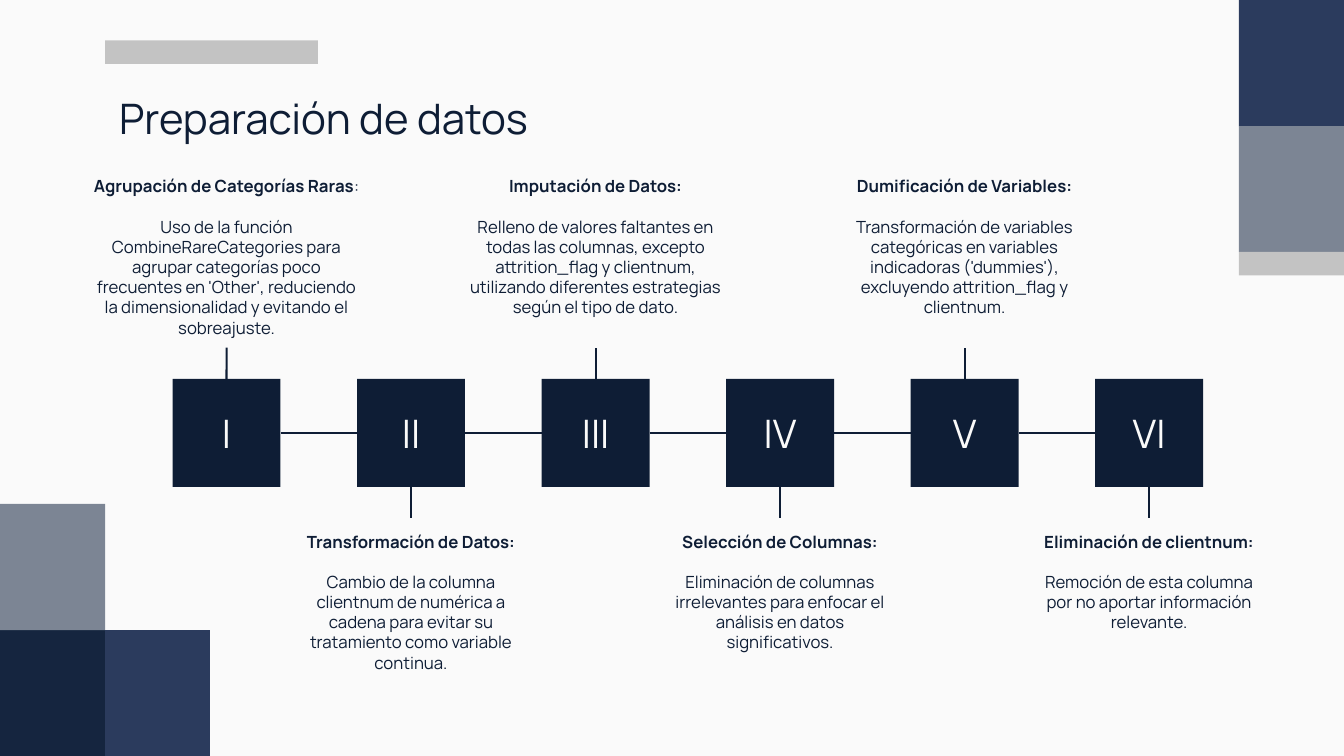
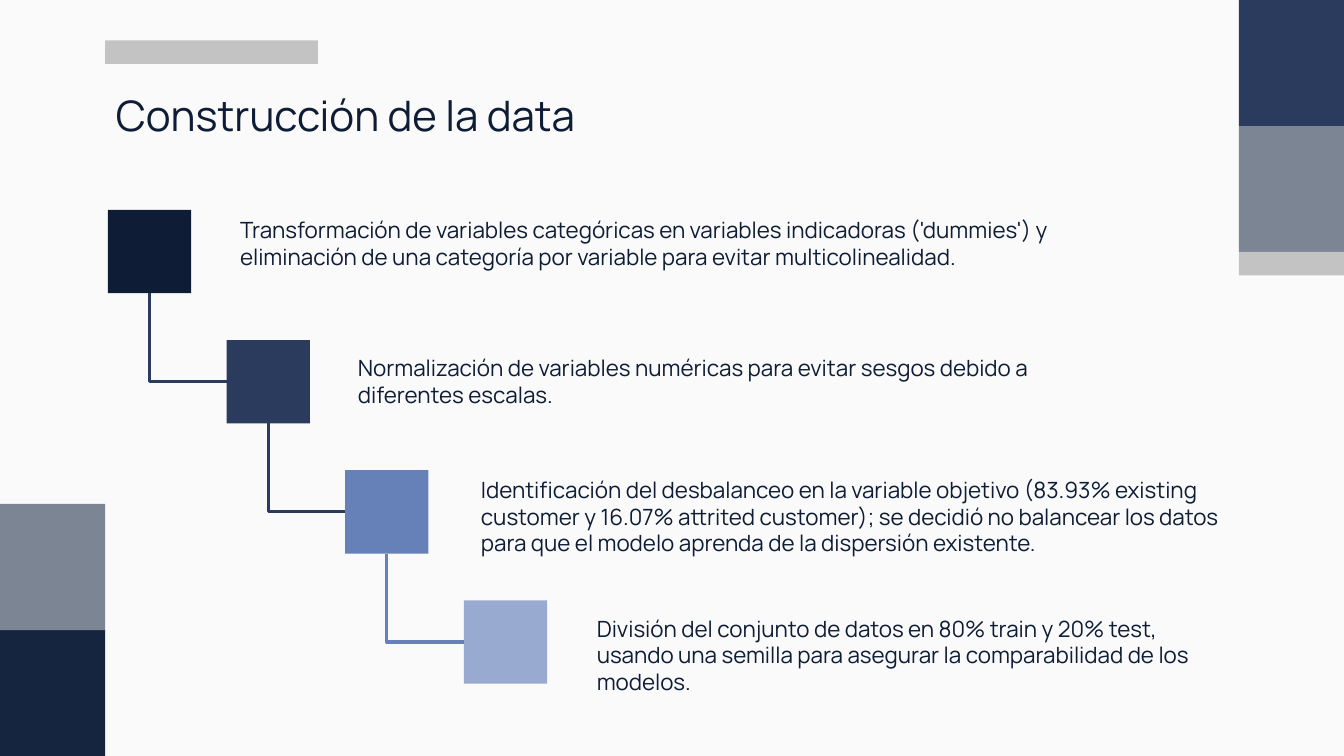
from dataclasses import dataclass
from itertools import pairwise
from typing import Any

from lxml.etree import SubElement
from pptx import Presentation
from pptx.dml.color import RGBColor
from pptx.enum.shapes import MSO_CONNECTOR as CONN, MSO_SHAPE as SHAPE
from pptx.enum.text import MSO_ANCHOR as ANCHOR, PP_ALIGN as ALIGN
from pptx.oxml.ns import qn
from pptx.util import Cm, Pt

# Shared style
COLORS = {
    "paper": "FAFAFA", "ink": "0E1D35", "deep": "15253F", "navy": "2B3B5D",
    "slate": "7C8594", "silver": "C3C3C3", "blue": "6680B8", "pale": "99AAD0",
}
FONT = "Manrope"
INSET = 0.33
TOP, BOTTOM, LEFT, RIGHT = 0, 2, 1, 3  # connection sites


@dataclass(frozen=True)
class Block:
    x: float
    y: float
    w: float
    h: float
    color: str


@dataclass(frozen=True)
class Stage:
    numeral: str
    heading: str
    body: str
    width: float
    colon_bold: bool = True


@dataclass(frozen=True)
class Step:
    color: str
    text: str
    x: float
    y: float
    w: float


BANDS = [
    Block(0, 15.88, 2.65, 3.17, "deep"),
    Block(0, 12.7, 2.65, 3.18, "slate"),
    Block(31.22, 0, 2.65, 3.18, "navy"),
    Block(31.22, 3.18, 2.65, 3.17, "slate"),
    Block(31.22, 6.35, 2.65, 0.59, "silver"),
    Block(2.65, 1.02, 5.36, 0.59, "silver"),
]
CORNER = Block(2.65, 15.88, 2.64, 3.17, "navy")

STAGES = [
    Stage("I", "Agrupación de Categorías Raras",
          "Uso de la función CombineRareCategories para agrupar categorías poco frecuentes "
          "en 'Other', reduciendo la dimensionalidad y evitando el sobreajuste.", 7.47, False),
    Stage("II", "Transformación de Datos",
          "Cambio de la columna clientnum de numérica a cadena para evitar su tratamiento "
          "como variable continua.", 6.12),
    Stage("III", "Imputación de Datos",
          "Relleno de valores faltantes en todas las columnas, excepto attrition_flag y "
          "clientnum, utilizando diferentes estrategias según el tipo de dato.", 7.47),
    Stage("IV", "Selección de Columnas",
          "Eliminación de columnas irrelevantes para enfocar el análisis en datos "
          "significativos.", 6.12),
    Stage("V", "Dumificación de Variables",
          "Transformación de variables categóricas en variables indicadoras ('dummies'), "
          "excluyendo attrition_flag y clientnum.", 6.83),
    Stage("VI", "Eliminación de clientnum",
          "Remoción de esta columna por no aportar información relevante.", 6.12),
]

STEPS = [
    Step("ink", "Transformación de variables categóricas en variables indicadoras ('dummies') y "
         "eliminación de una categoría por variable para evitar multicolinealidad.",
         5.72, 5.11, 21.62),
    Step("navy", "Normalización de variables numéricas para evitar sesgos debido a diferentes "
         "escalas.", 8.69, 8.59, 20.12),
    Step("blue", "Identificación del desbalanceo en la variable objetivo (83.93% existing "
         "customer y 16.07% attrited customer); se decidió no balancear los datos para que el "
         "modelo aprenda de la dispersión existente.", 11.79, 11.66, 19.3),
    Step("pale", "División del conjunto de datos en 80% train y 20% test, usando una semilla "
         "para asegurar la comparabilidad de los modelos.", 14.71, 15.16, 16.56),
]


# Drawing helpers
def rgb(name: str) -> RGBColor:
    return RGBColor.from_string(COLORS[name])


def apply(obj: Any, values: dict[str, Any]) -> None:
    for name, value in values.items():
        setattr(obj, name, value)


def set_frame(tf: Any, inset: float = INSET, anchor: Any = ANCHOR.TOP) -> None:
    sides = ("left", "top", "right", "bottom")
    apply(tf, {f"margin_{side}": Cm(inset) for side in sides})
    apply(tf, {"word_wrap": True, "vertical_anchor": anchor})


def add_run(p: Any, text: str, size: float, color: str = "ink", bold: bool = False) -> None:
    r = p.add_run()
    r.text = text
    apply(r.font, {"name": FONT, "size": Pt(size), "bold": bold})
    r.font.color.rgb = rgb(color)


def add_box(s: Any, x: float, y: float, w: float, h: float, inset: float = INSET) -> Any:
    tf = s.shapes.add_textbox(Cm(x), Cm(y), Cm(w), Cm(h)).text_frame
    set_frame(tf, inset)
    return tf


def add_block(s: Any, b: Block) -> Any:
    sp = s.shapes.add_shape(SHAPE.RECTANGLE, Cm(b.x), Cm(b.y), Cm(b.w), Cm(b.h))
    sp.shadow.inherit = False
    sp.fill.solid()
    sp.fill.fore_color.rgb = rgb(b.color)
    sp.line.fill.background()
    return sp


def add_line(s: Any, kind: Any, color: str, width: float,
             x1: float, y1: float, x2: float, y2: float) -> Any:
    cn = s.shapes.add_connector(kind, Cm(x1), Cm(y1), Cm(x2), Cm(y2))
    cn.line.color.rgb = rgb(color)
    cn.line.width = Pt(width)
    SubElement(cn._element.spPr, qn("a:effectLst"))
    return cn


def add_elbow(s: Any, start: Any, end: Any, color: str) -> None:
    """Go down from the start square, then right into the end square."""
    cn = add_line(s, CONN.ELBOW, color, 2.25, 0, 0, 1, 1)
    cn.begin_connect(start, BOTTOM)
    cn.end_connect(end, LEFT)
    x, y = start.left + start.width // 2, start.top + start.height
    dx, dy = end.left - x, end.top + end.height // 2 - y
    # A single bend is a quarter turn of a mirrored frame about its centre
    apply(cn, {"left": x + (dx - dy) // 2, "top": y + (dy - dx) // 2,
               "width": dy, "height": dx})
    xfrm = cn._element.spPr.find(qn("a:xfrm"))
    xfrm.set("rot", "16200000")
    xfrm.set("flipH", "1")
    cn._element.spPr.find(qn("a:prstGeom")).set("prst", "bentConnector2")


def new_slide(prs: Any, title: str, inset: float) -> Any:
    s = prs.slides.add_slide(prs.slide_layouts[6])
    s.background.fill.solid()
    s.background.fill.fore_color.rgb = rgb("paper")
    for band in BANDS:
        add_block(s, band)
    add_run(add_box(s, 2.67, 2.01, 28.52, 2.13, inset).paragraphs[0], title, 30)
    return s


# Timeline slide
def add_stage_text(s: Any, stage: Stage, center: float, y: float) -> None:
    tf = add_box(s, center - stage.width / 2, y, stage.width, 4.65)
    head, body = tf.paragraphs[0], tf.add_paragraph()
    add_run(head, stage.heading, 12, bold=True)
    add_run(head, ":", 12, bold=stage.colon_bold)
    add_run(body, stage.body, 12)
    for p in (head, body):
        p.alignment = ALIGN.CENTER
    head.space_after = Pt(14.4)


def build_preparation(prs: Any) -> None:
    s = new_slide(prs, "Preparación de datos", INSET)
    x0, y, side, pitch, tick = 4.35, 9.55, 2.72, 4.65, 0.79
    squares = []
    for i, stage in enumerate(STAGES):
        x = x0 + i * pitch
        center = x + side / 2
        sq = add_block(s, Block(x, y, side, side, "ink"))
        set_frame(sq.text_frame, anchor=ANCHOR.MIDDLE)
        p = sq.text_frame.paragraphs[0]
        p.alignment = ALIGN.CENTER
        add_run(p, stage.numeral, 28, "paper")
        squares.append(sq)

        # Odd stages are described above the row, even ones below it
        above = i % 2 == 0
        edge, tip = (y, y - tick) if above else (y + side, y + side + tick)
        cn = add_line(s, CONN.STRAIGHT, "ink", 1.5, center, edge, center, tip)
        cn.begin_connect(sq, TOP if above else BOTTOM)
        add_stage_text(s, stage, center, 4.11 if above else tip)

    for a, b in pairwise(squares):
        cn = add_line(s, CONN.STRAIGHT, "ink", 1.5, 0, 0, 1, 1)
        cn.begin_connect(a, RIGHT)
        cn.end_connect(b, LEFT)
    add_block(s, CORNER)


# Staircase slide
def build_construction(prs: Any) -> None:
    s = new_slide(prs, "Construcción de la data", 0.25)
    squares = []
    for i, step in enumerate(STEPS):
        squares.append(add_block(
            s, Block(2.72 + i * 2.99, 5.29 + i * 3.28, 2.1, 2.1, step.color)))
        add_run(add_box(s, step.x, step.y, step.w, 2.08).paragraphs[0], step.text, 16)
    for (a, b), color in zip(pairwise(squares), ("navy", "navy", "blue")):
        add_elbow(s, a, b, color)


def main() -> None:
    prs = Presentation()
    apply(prs, {"slide_width": Cm(33.87), "slide_height": Cm(19.05)})
    build_preparation(prs)
    build_construction(prs)
    prs.save("out.pptx")


if __name__ == "__main__":
    main()
